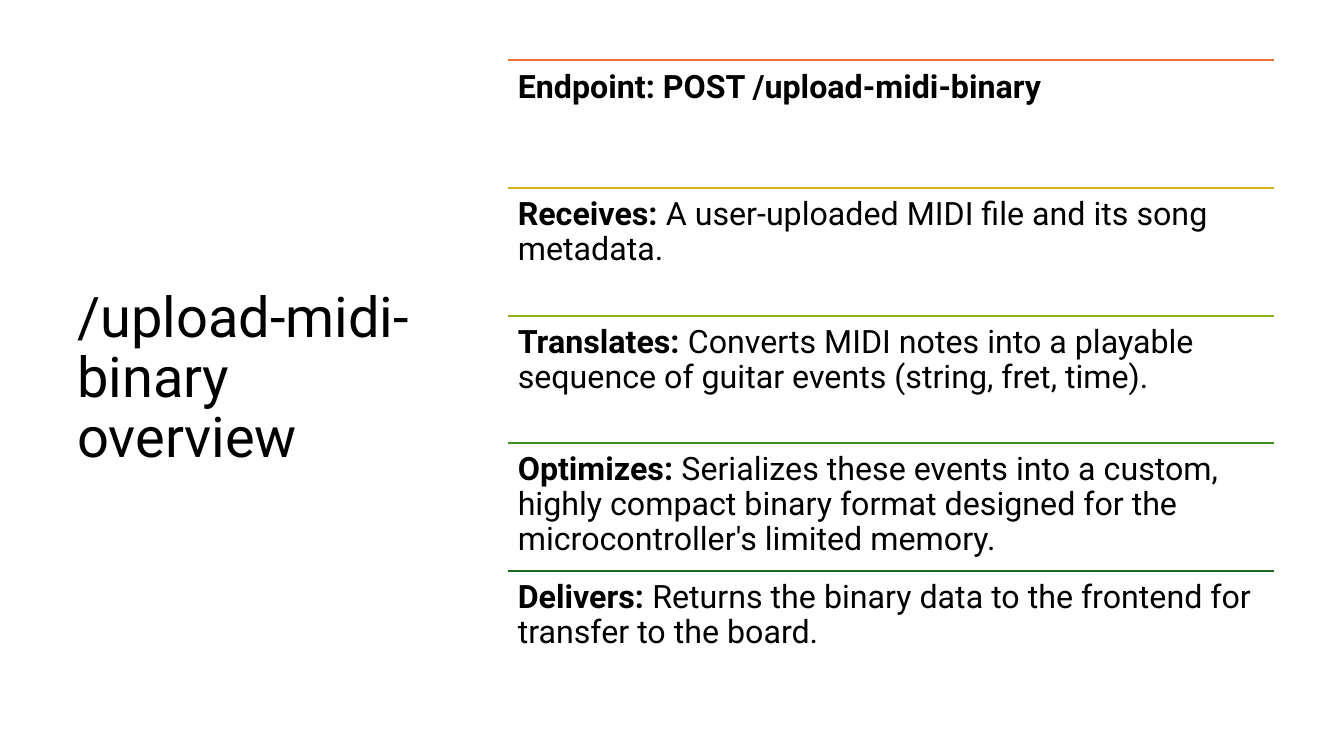
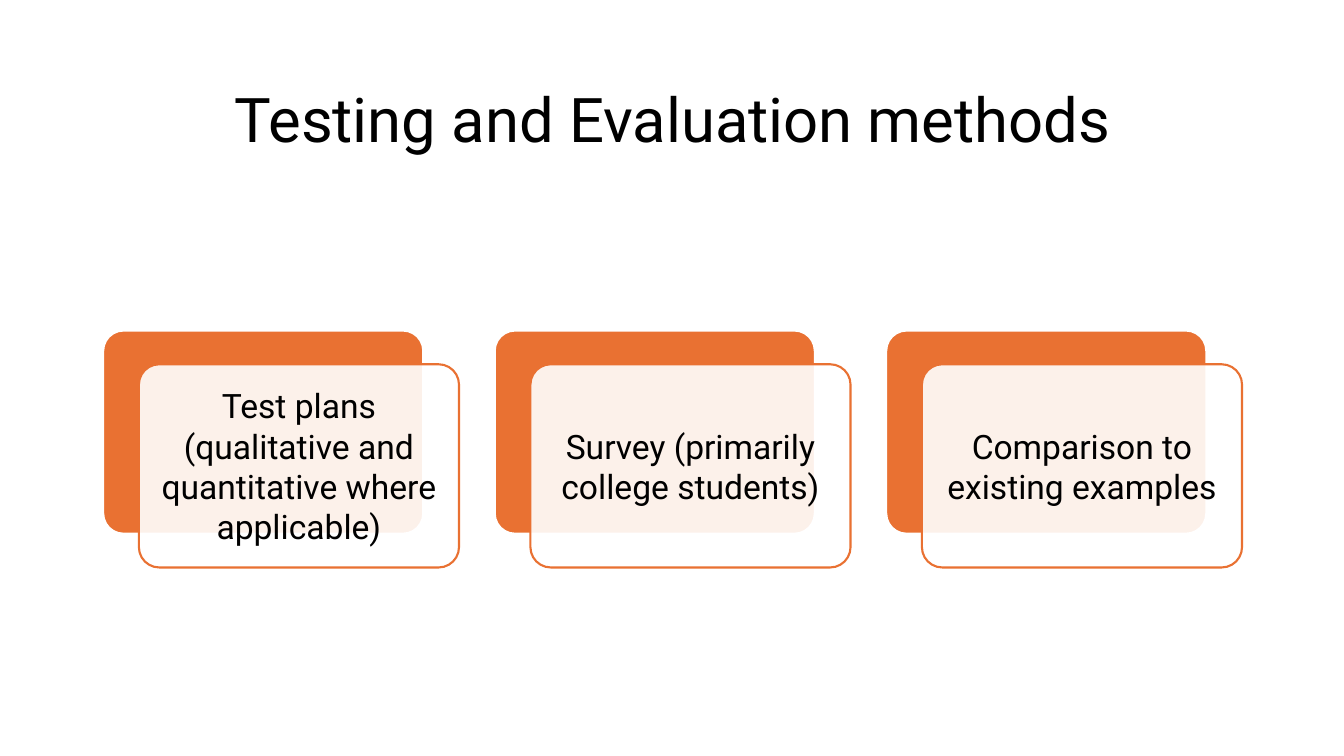
from dataclasses import dataclass

from lxml.etree import SubElement
from pptx import Presentation
from pptx.dml.color import RGBColor
from pptx.enum.shapes import MSO_CONNECTOR, MSO_SHAPE
from pptx.enum.text import MSO_ANCHOR, PP_ALIGN
from pptx.oxml.ns import qn
from pptx.util import Cm, Pt


@dataclass(frozen=True)
class Theme:
    font: str = "Roboto"
    ink: str = "000000"
    paper: str = "FFFFFF"
    accent: str = "E97132"
    rules: tuple = ("E97132", "D8B11D", "8EB21E", "408E1C", "196B24")
    side: int = 40
    head: int = 44
    row: int = 23
    card: int = 24
    line: float = 1.5
    tight: float = 0.9
    inset: float = 0.25
    glass: int = 90


THEME = Theme()

ROWS = (
    ("Endpoint: POST /upload-midi-binary", ""),
    ("Receives:", " A user-uploaded MIDI file and its song metadata."),
    ("Translates:", " Converts MIDI notes into a playable sequence of "
     "guitar events (string, fret, time)."),
    ("Optimizes:", " Serializes these events into a custom, highly compact "
     "binary format designed for the microcontroller's limited memory."),
    ("Delivers:", " Returns the binary data to the frontend for transfer "
     "to the board."),
)

CARDS = (
    "Test plans (qualitative and quantitative where applicable)",
    "Survey (primarily college students)",
    "Comparison to existing examples",
)


def color(code):
    return RGBColor.from_string(code)


def cms(*sizes):
    return [Cm(size) for size in sizes]


def write(shape, runs, size, align=PP_ALIGN.LEFT, anchor=MSO_ANCHOR.MIDDLE,
          space=THEME.tight):
    """Fill a shape with one paragraph of (text, bold) runs."""
    frame = shape.text_frame
    frame.word_wrap = True
    frame.vertical_anchor = anchor
    par = frame.paragraphs[0]
    par.alignment = align
    par.line_spacing = space
    par.font.name = THEME.font
    par.font.size = Pt(size)
    par.font.color.rgb = color(THEME.ink)
    for text, bold in runs:
        run = par.add_run()
        run.text = text
        run.font.bold = bold
    return frame


def pad(frame):
    frame.margin_left = frame.margin_right = Cm(THEME.inset)
    frame.margin_top = frame.margin_bottom = Cm(THEME.inset)


def title(slide, box, text, size, align=PP_ALIGN.LEFT):
    write(slide.shapes.add_textbox(*cms(*box)), [(text, False)], size, align)


def rule(slide, left, top, width, code):
    line = slide.shapes.add_connector(
        MSO_CONNECTOR.STRAIGHT, *cms(left, top, left + width, top))
    line.line.color.rgb = color(code)
    line.line.width = Pt(THEME.line)
    SubElement(line._element.spPr, qn("a:effectLst"))


def ruled(slide, box, rows):
    """Stack equal rows in the box, each under its own coloured rule."""
    left, top, width, height = box
    step = height / len(rows)
    for i, (label, text) in enumerate(rows):
        y = top + i * step
        rule(slide, left, y, width, THEME.rules[i])
        area = slide.shapes.add_textbox(*cms(left, y, width, step))
        runs = [(label, True)] + ([(text, False)] if text else [])
        pad(write(area, runs, THEME.row, anchor=MSO_ANCHOR.TOP))


def panel(slide, box, fill, edge):
    shape = slide.shapes.add_shape(MSO_SHAPE.ROUNDED_RECTANGLE, *cms(*box))
    shape.adjustments[0] = 0.1
    shape.shadow.inherit = False
    shape.fill.solid()
    shape.fill.fore_color.rgb = color(fill)
    shape.line.color.rgb = color(edge)
    shape.line.width = Pt(THEME.line)
    return shape


def card(slide, box, text):
    """Draw a solid panel with a translucent text panel offset over it."""
    left, top, width, height = box
    dx, dy = 0.9, 0.85
    size = width - dx, height - dy
    panel(slide, (left, top, *size), THEME.accent, THEME.paper)
    front = panel(slide, (left + dx, top + dy, *size),
                  THEME.paper, THEME.accent)
    tint = front._element.spPr.find(qn("a:solidFill"))[0]
    SubElement(tint, qn("a:alpha")).set("val", str(THEME.glass * 1000))
    pad(write(front, [(text, False)], THEME.card, PP_ALIGN.CENTER, space=1.0))


def deck(slide, box, texts):
    """Spread cards evenly over the width of the box."""
    left, top, width, height = box
    gap = 0.9
    wide = (width - gap * (len(texts) - 1)) / len(texts)
    for i, text in enumerate(texts):
        card(slide, (left + i * (wide + gap), top, wide, height), text)


def overview(slide):
    title(slide, (1.7, 1.52, 9.7, 16.08), "/upload-midi-binary overview",
          THEME.side)
    ruled(slide, (12.8, 1.52, 19.3, 16.08), ROWS)


def methods(slide):
    title(slide, (4.24, 1.52, 25.45, 3.15), "Testing and Evaluation methods",
          THEME.head, PP_ALIGN.CENTER)
    deck(slide, (2.6, 8.33, 28.7, 5.97), CARDS)


def main():
    show = Presentation()
    show.slide_width, show.slide_height = cms(33.87, 19.05)
    for build in (overview, methods):
        build(show.slides.add_slide(show.slide_layouts[6]))
    show.save("out.pptx")


if __name__ == "__main__":
    main()
